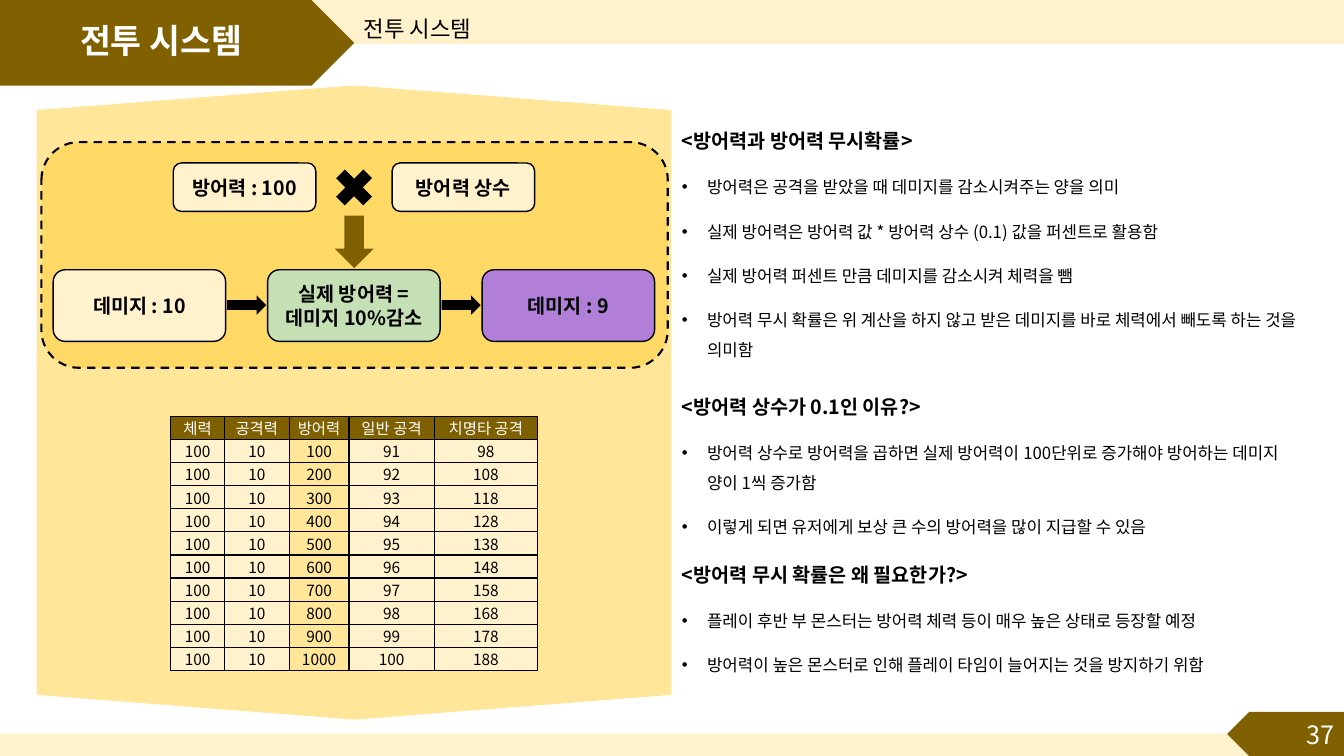
from dataclasses import dataclass

from lxml import etree
from pptx import Presentation
from pptx.dml.color import RGBColor
from pptx.enum import dml, shapes, text
from pptx.oxml import ns
from pptx.util import Pt

TITLE = SUBTITLE = "전투 시스템"
PAGE = "37"
# Each section: heading, then its points
IGNORE_CHANCE = ("<방어력과 방어력 무시확률>", [
    "방어력은 공격을 받았을 때 데미지를 감소시켜주는 양을 의미",
    "실제 방어력은 방어력 값 * 방어력 상수 (0.1) 값을 퍼센트로 활용함",
    "실제 방어력 퍼센트 만큼 데미지를 감소시켜 체력을 뺌",
    "방어력 무시 확률은 위 계산을 하지 않고 받은 데미지를 바로 체력에서 빼도록 하는 것을 의미함",
])
WHY_CONSTANT = ("<방어력 상수가 0.1인 이유?>", [
    "방어력 상수로 방어력을 곱하면 실제 방어력이 100단위로 증가해야 방어하는 데미지 양이 1씩 증가함",
    "이렇게 되면 유저에게 보상 큰 수의 방어력을 많이 지급할 수 있음",
])
WHY_IGNORE = ("<방어력 무시 확률은 왜 필요한가?>", [
    "플레이 후반 부 몬스터는 방어력 체력 등이 매우 높은 상태로 등장할 예정",
    "방어력이 높은 몬스터로 인해 플레이 타임이 늘어지는 것을 방지하기 위함",
])
FACTORS = ["방어력 : 100", "방어력 상수"]
STEPS = [["데미지 : 10"], ["실제 방어력 =", "데미지 10%감소"], ["데미지 : 9"]]
HEADER = ["체력", "공격력", "방어력", "일반 공격", "치명타 공격"]
STATS = [(100, 10, 100 * n, 90 + n, 88 + 10 * n) for n in range(1, 11)]
DEFENCE_COL = 2
COL_WIDTHS = [38.4, 46.2, 42.8, 60.8, 74]
ROW_HEIGHT = 16.5


@dataclass(frozen=True)
class Theme:
    font: str = "Noto Sans CJK KR"
    brown: str = "806000"
    dark: str = "7F6000"
    cream: str = "FFF2CC"
    sand: str = "FFE699"
    gold: str = "FFD966"
    green: str = "C5E0B4"
    purple: str = "B17ED8"
    black: str = "000000"
    white: str = "FFFFFF"
    title: float = 24
    page: float = 18
    subtitle: float = 16
    heading: float = 14
    body: float = 12
    cell: float = 11


T = Theme()
SHAPE, ALIGN, ANCHOR = shapes.MSO_SHAPE, text.PP_ALIGN, text.MSO_ANCHOR
WIDTH, HEIGHT = 960, 540

prs = Presentation()
prs.slide_width, prs.slide_height = Pt(WIDTH), Pt(HEIGHT)
slide = prs.slides.add_slide(prs.slide_layouts[6])


def write(tf, content, size=T.heading, color=T.black, bold=False, align=ALIGN.LEFT,
          spacing=None, before=0, bullet=False):
    """Append one paragraph, or fill the first one while the frame is empty."""
    first = not tf.text
    p = tf.paragraphs[0] if first else tf.add_paragraph()
    p.alignment = align
    if spacing:
        p.line_spacing = spacing
    if before and not first:
        p.space_before = Pt(before)
    if bullet:
        pPr = p._p.get_or_add_pPr()
        pPr.set("marL", str(Pt(18)))
        pPr.set("indent", str(-Pt(18)))
        etree.SubElement(pPr, ns.qn("a:buFont")).set("typeface", "Arial")
        etree.SubElement(pPr, ns.qn("a:buChar")).set("char", "•")
    r = p.add_run()
    r.text = content
    r.font.name, r.font.size, r.font.bold = T.font, Pt(size), bold
    r.font.color.rgb = RGBColor.from_string(color)
    etree.SubElement(r._r.get_or_add_rPr(), ns.qn("a:ea")).set("typeface", T.font)


def add_shape(kind, x, y, w, h, fill, line=None, rotation=0):
    sp = slide.shapes.add_shape(kind, Pt(x), Pt(y), Pt(w), Pt(h))
    sp.shadow.inherit = False
    sp.rotation = rotation
    sp.fill.solid()
    sp.fill.fore_color.rgb = RGBColor.from_string(fill)
    if line:
        sp.line.color.rgb = RGBColor.from_string(T.black)
        sp.line.width = Pt(line)
    else:
        sp.line.fill.background()
    return sp


def add_box(x, y, w, h, lines, fill):
    sp = add_shape(SHAPE.ROUNDED_RECTANGLE, x, y, w, h, fill, line=1)
    sp.text_frame.vertical_anchor = ANCHOR.MIDDLE
    sp.text_frame.word_wrap = True
    for line in lines:
        write(sp.text_frame, line, bold=True, align=ALIGN.CENTER)


def add_text_frame(x, y, w, h, anchor=ANCHOR.MIDDLE):
    tf = slide.shapes.add_textbox(Pt(x), Pt(y), Pt(w), Pt(h)).text_frame
    tf.word_wrap = True
    tf.vertical_anchor = anchor
    return tf


def add_sections(tf, *sections):
    for heading, points in sections:
        write(tf, heading, bold=True, spacing=1.5, before=10)
        for point in points:
            write(tf, point, size=T.body, spacing=1.5, before=10, bullet=True)


def format_cell(cell, content, fill, color):
    cell.margin_left = cell.margin_right = cell.margin_top = cell.margin_bottom = 0
    cell.vertical_anchor = ANCHOR.MIDDLE
    tcPr = cell._tc.get_or_add_tcPr()
    for side in ("lnL", "lnR", "lnT", "lnB"):
        ln = etree.SubElement(tcPr, ns.qn(f"a:{side}"), w=str(Pt(1)))
        solid = etree.SubElement(ln, ns.qn("a:solidFill"))
        etree.SubElement(solid, ns.qn("a:srgbClr"), val=T.black)
    cell.fill.solid()
    cell.fill.fore_color.rgb = RGBColor.from_string(fill)
    write(cell.text_frame, content, size=T.cell, color=color, align=ALIGN.CENTER)


def add_stats_table(x, y):
    rows = [HEADER] + STATS
    table = slide.shapes.add_table(len(rows), len(HEADER), Pt(x), Pt(y),
                                   Pt(sum(COL_WIDTHS)), Pt(ROW_HEIGHT * len(rows))).table
    table.first_row = table.horz_banding = False
    for column, width in zip(table.columns, COL_WIDTHS):
        column.width = Pt(width)
    for i, row in enumerate(rows):
        table.rows[i].height = Pt(ROW_HEIGHT)
        for j, value in enumerate(row):
            body_fill = T.sand if j == DEFENCE_COL else T.cream
            fill, color = (body_fill, T.black) if i else (T.dark, T.white)
            format_cell(table.cell(i, j), str(value), fill, color)


def add_damage_flow():
    frame = add_shape(SHAPE.ROUNDED_RECTANGLE, 29.6, 101.5, 447.4, 161.2, T.gold, line=1.5)
    frame.line.dash_style = dml.MSO_LINE.DASH
    for i, factor in enumerate(FACTORS):
        add_box(123.8 + 156.3 * i, 116.4, 101.8, 34.6, [factor], T.cream)
    add_shape(SHAPE.MATH_MULTIPLY, 234.2, 115.2, 37.4, 37.4, T.black)
    left, step, width = 38, 153.2, 123.2
    for i, (lines, fill) in enumerate(zip(STEPS, (T.cream, T.green, T.purple))):
        add_box(left + step * i, 192.7, width, 51.2, lines, fill)
    for i in range(len(STEPS) - 1):
        add_shape(SHAPE.RIGHT_ARROW, left + width + 1 + step * i, 211, 28, 13.8, T.black)
    add_shape(SHAPE.DOWN_ARROW, 239, 154, 28, 37.5, T.dark)


# Header, footer and the panel behind the diagram
add_shape(SHAPE.RECTANGLE, 0, 0, WIDTH, 31.4, T.cream)
add_shape(SHAPE.PENTAGON, 0, 0, 253, 61.2, T.brown)
add_shape(SHAPE.RECTANGLE, 0, 524.2, WIDTH, 15.8, T.cream, rotation=180)
add_shape(SHAPE.PENTAGON, 876.5, 508.5, 83.5, 31.5, T.brown, rotation=180)
panel = add_shape(SHAPE.HEXAGON, 26.4, 60.8, 453, 453.4, T.sand, rotation=90)
panel.adjustments[0] = 0.039

add_sections(add_text_frame(480, 71.3, 453.6, 198.7), IGNORE_CHANCE)
add_sections(add_text_frame(480, 270, 453.6, 232.6, ANCHOR.TOP), WHY_CONSTANT, WHY_IGNORE)
write(add_text_frame(8.6, 0, 213, 61.2), TITLE, size=T.title, color=T.white, bold=True,
      align=ALIGN.CENTER, spacing=0.9)
write(add_text_frame(828, 510.5, 132, 29, ANCHOR.TOP), PAGE, size=T.page, color=T.white,
      align=ALIGN.RIGHT)
write(add_text_frame(252.7, 0, 681, 31), SUBTITLE, size=T.subtitle, spacing=1.5)

add_stats_table(122, 297.4)
add_damage_flow()
prs.save("out.pptx")
